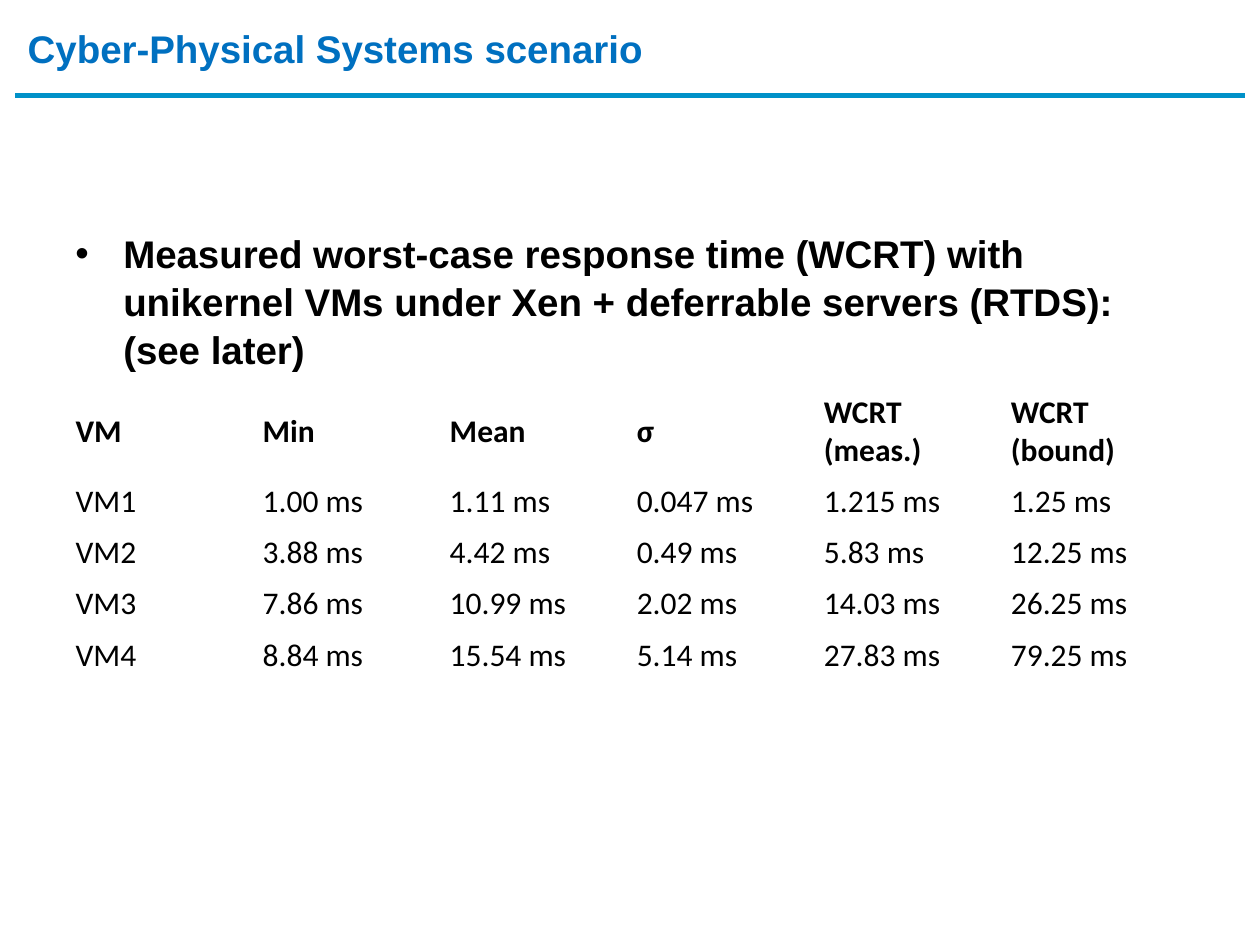
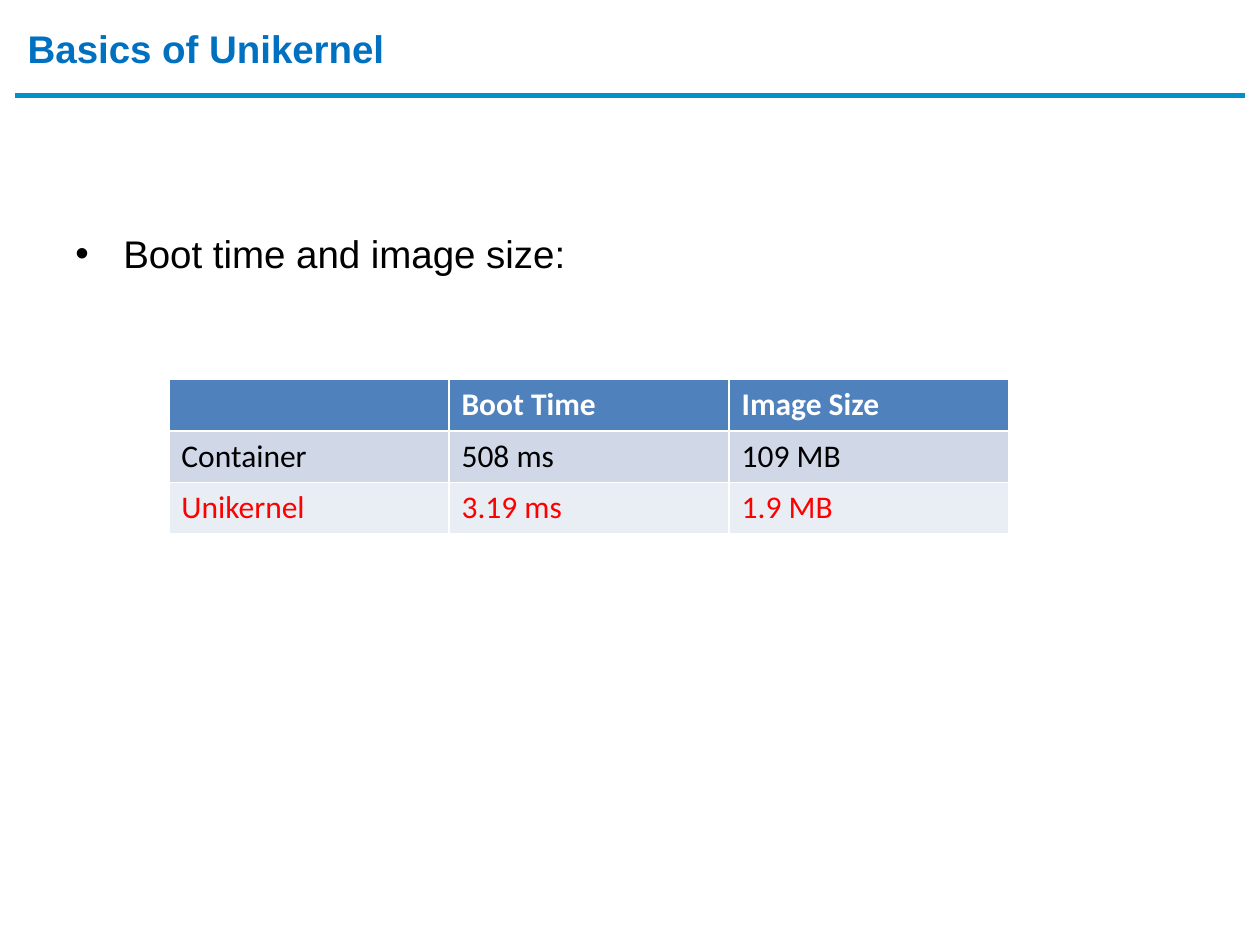
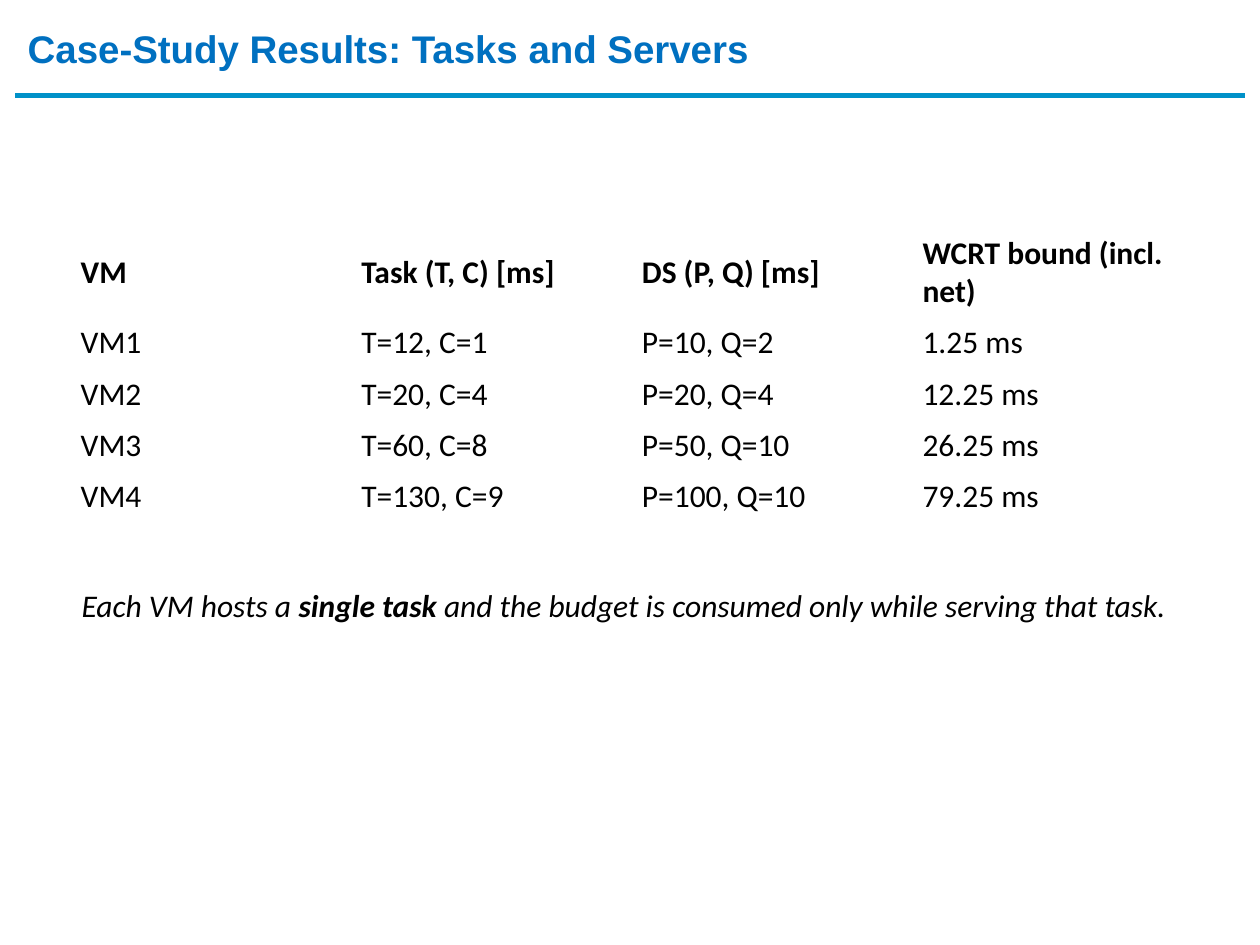
from lxml import etree
from pptx import Presentation
from pptx.dml.color import RGBColor
from pptx.enum.shapes import MSO_CONNECTOR
from pptx.enum.text import MSO_ANCHOR, MSO_AUTO_SIZE, PP_ALIGN
from pptx.oxml.ns import qn
from pptx.util import Inches, Pt

LINE = MSO_CONNECTOR.STRAIGHT
TOP, MIDDLE = MSO_ANCHOR.TOP, MSO_ANCHOR.MIDDLE
LEFT = PP_ALIGN.LEFT
FIXED = MSO_AUTO_SIZE.NONE
TITLE_ONLY = 5
PLAIN_TABLE_STYLE = "{2D5ABB26-0587-4C30-8999-92F81FD0307C}"

COLORS = {
    "title": "0070C0", "rule": "0091C8", "text": "000000", "white": "FFFFFF",
    "header": "4F81BD", "band_dark": "D0D8E8", "band_light": "E9EDF4",
    "highlight": "FF0000",
}
HEADING = {"name": "Arial", "size": Pt(22), "bold": True, "color": "title"}
BULLET = {"name": "Arial", "size": Pt(22), "bold": False, "color": "text"}
CELL = {"name": "Calibri", "size": Pt(18), "bold": False, "color": "text"}

TITLE_BOX = (0.12, 0.13, 9.12, 0.63)
BODY_BOX = (0.5, 1.75, 8.91, 4.95)

RESPONSE_TIMES = [
    ["VM", "Min", "Mean", "σ", "WCRT (meas.)", "WCRT (bound)"],
    ["VM1", "1.00 ms", "1.11 ms", "0.047 ms", "1.215 ms", "1.25 ms"],
    ["VM2", "3.88 ms", "4.42 ms", "0.49 ms", "5.83 ms", "12.25 ms"],
    ["VM3", "7.86 ms", "10.99 ms", "2.02 ms", "14.03 ms", "26.25 ms"],
    ["VM4", "8.84 ms", "15.54 ms", "5.14 ms", "27.83 ms", "79.25 ms"],
]
BOOT_FIGURES = [
    ["", "Boot Time", "Image Size"],
    ["Container", "508 ms", "109 MB"],
    ["Unikernel", "3.19 ms", "1.9 MB"],
]
SERVERS = [
    ["VM", "Task (T, C) [ms]", "DS (P, Q) [ms]", "WCRT bound (incl. net)"],
    ["VM1", "T=12, C=1", "P=10, Q=2", "1.25 ms"],
    ["VM2", "T=20, C=4", "P=20, Q=4", "12.25 ms"],
    ["VM3", "T=60, C=8", "P=50, Q=10", "26.25 ms"],
    ["VM4", "T=130, C=9", "P=100, Q=10", "79.25 ms"],
]


def rgb(name):
    return RGBColor.from_string(COLORS[name])


def style_font(font, style):
    for key, value in style.items():
        if key == "color":
            font.color.rgb = rgb(value)
        else:
            setattr(font, key, value)


def set_frame(frame, **values):
    for key, value in values.items():
        setattr(frame, key, value)


def add_page(deck, heading):
    """Add a slide with its heading and the rule below it."""
    page = deck.slides.add_slide(deck.slide_layouts[TITLE_ONLY])
    left, top, width, height = map(Inches, TITLE_BOX)
    title = page.shapes.title
    title.left, title.top, title.width, title.height = left, top, width, height
    set_frame(title.text_frame, text=heading, vertical_anchor=TOP,
              auto_size=FIXED, margin_top=Inches(0.07))
    para = title.text_frame.paragraphs[0]
    para.alignment = LEFT
    style_font(para.runs[0].font, HEADING)

    rule_top = top + height
    rule = page.shapes.add_connector(
        LINE, left, rule_top, deck.slide_width - left, rule_top)
    rule.line.color.rgb = rgb("rule")
    rule.line.width = Pt(3)
    etree.SubElement(rule._element.spPr, qn("a:effectLst"))
    return page


def add_bullet(page, box, text, bold=False):
    frame = page.shapes.add_textbox(*map(Inches, box)).text_frame
    set_frame(frame, word_wrap=True, auto_size=FIXED, vertical_anchor=TOP,
              margin_top=Inches(0.06))
    para = frame.paragraphs[0]
    properties = para._p.get_or_add_pPr()
    properties.set("marL", str(Inches(0.38)))
    properties.set("indent", str(-Inches(0.38)))
    para.line_spacing = 1.04
    etree.SubElement(properties, qn("a:buFont"), typeface="Arial")
    etree.SubElement(properties, qn("a:buChar"), char="•")
    span = para.add_run()
    span.text = text
    style_font(span.font, {**BULLET, "bold": bold})


def add_grid(page, box, rows, heights):
    """Add a table with equal columns and return it for its cells to be styled."""
    left, top, width = map(Inches, box)
    grid = page.shapes.add_table(
        len(rows), len(rows[0]), left, top, width, Inches(sum(heights))).table
    for column in grid.columns:
        column.width = width // len(rows[0])
    for row, height, texts in zip(grid.rows, heights, rows):
        row.height = Inches(height)
        for cell, text in zip(row.cells, texts):
            cell.text = text
    return grid


def add_plain_table(page, box, rows):
    grid = add_grid(page, box, rows, [0.7] + [0.4] * (len(rows) - 1))
    grid._tbl.tblPr.find(qn("a:tableStyleId")).text = PLAIN_TABLE_STYLE
    for index, row in enumerate(grid.rows):
        for cell in row.cells:
            cell.fill.background()
            cell.vertical_anchor = MIDDLE
            style_font(cell.text_frame.paragraphs[0].font,
                       {**CELL, "bold": index == 0})


def add_banded_table(page, box, rows):
    grid = add_grid(page, box, rows, [0.41] * len(rows))
    looks = [("header", "white", True), ("band_dark", "text", False),
             ("band_light", "highlight", False)]
    for row, (fill, color, bold) in zip(grid.rows, looks):
        for cell in row.cells:
            cell.fill.solid()
            cell.fill.fore_color.rgb = rgb(fill)
            style_font(cell.text_frame.paragraphs[0].font,
                       {**CELL, "color": color, "bold": bold})


def add_remark(page, box, spans):
    """Add one italic line; spans are pairs of text and bold."""
    frame = page.shapes.add_textbox(*map(Inches, box)).text_frame
    frame.word_wrap = False
    for text, bold in spans:
        span = frame.paragraphs[0].add_run()
        span.text = text
        style_font(span.font, {**CELL, "bold": bold, "italic": True})


def main():
    deck = Presentation()
    deck.slide_width, deck.slide_height = Inches(10), Inches(7.5)

    page = add_page(deck, "Cyber-Physical Systems scenario")
    add_bullet(page, BODY_BOX,
               "Measured worst-case response time (WCRT) with unikernel VMs "
               "under Xen + deferrable servers (RTDS): (see later)", bold=True)
    add_plain_table(page, (0.5, 3.07, 8.91), RESPONSE_TIMES)

    page = add_page(deck, "Basics of Unikernel")
    add_bullet(page, BODY_BOX, "Boot time and image size:")
    add_banded_table(page, (1.34, 3.01, 6.67), BOOT_FIGURES)

    page = add_page(deck, "Case-Study Results: Tasks and Servers")
    add_plain_table(page, (0.54, 1.81, 8.91), SERVERS)
    add_remark(page, (0.55, 4.6, 8.9, 0.4), [
        ("Each VM hosts a ", False), ("single task ", True),
        ("and the budget is consumed only while serving that task.", False)])

    deck.save("out.pptx")


if __name__ == "__main__":
    main()
